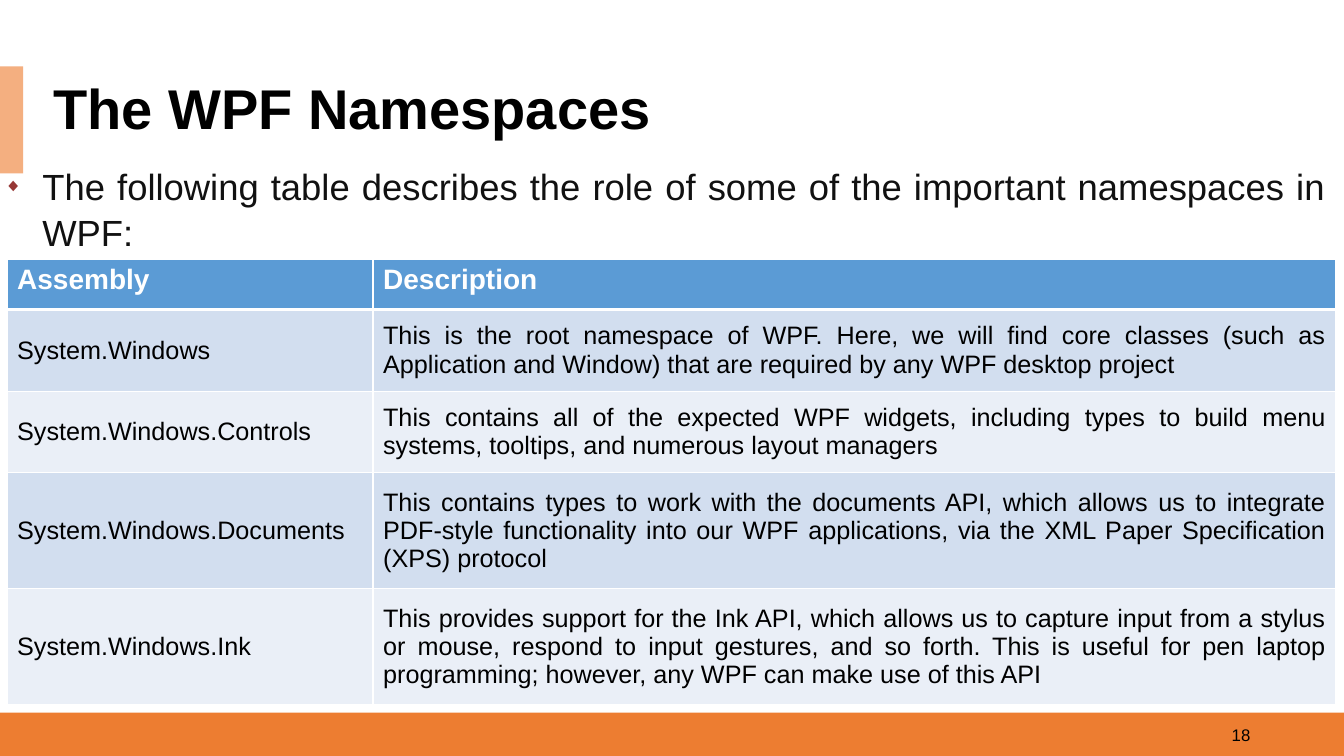
"""Build the slide on the WPF namespaces and their roles."""
from lxml import etree
from pptx import Presentation, util as u
from pptx.dml.color import RGBColor
from pptx.enum import shapes, text
from pptx.oxml import ns

WIDTH, HEIGHT = 13.33, 7.5
LEFT, RIGHT, JUSTIFY = text.PP_ALIGN.LEFT, text.PP_ALIGN.RIGHT, text.PP_ALIGN.JUSTIFY
TOP, MIDDLE = text.MSO_ANCHOR.TOP, text.MSO_ANCHOR.MIDDLE


def paint(target, color):
    target.solid()
    target.fore_color.rgb = RGBColor.from_string(color)


def write(frame, words, size=18, color="000000", bold=False, align=LEFT, anchor=MIDDLE):
    frame.word_wrap = True
    frame.vertical_anchor = anchor
    paragraph = frame.paragraphs[0]
    paragraph.alignment = align
    run = paragraph.add_run()
    run.text = words
    run.font.name, run.font.size, run.font.bold = "Arial", u.Pt(size), bold
    paint(run.font.fill, color)
    return paragraph


deck = Presentation()
deck.slide_width, deck.slide_height = u.Inches(WIDTH), u.Inches(HEIGHT)
slide = deck.slides.add_slide(deck.slide_layouts[1])
heading, intro = slide.placeholders

for left, top, width, height, color in [
    (0, 7.07, WIDTH, HEIGHT - 7.07, "ED7D31"),
    (0, 0.66, 0.23, 1.06, "F4AF80"),
]:
    band = slide.shapes.add_shape(
        shapes.MSO_SHAPE.RECTANGLE, *map(u.Inches, (left, top, width, height)))
    band.shadow.inherit = False
    paint(band.fill, color)
    band.line.fill.background()

page_number = slide.shapes.add_textbox(*map(u.Inches, (9.5, 7.09, 3, 0.4)))
write(page_number.text_frame, "18", size=12, align=RIGHT)

for holder, (left, top, width, height) in [
    (heading, (0.43, 0.79, 12.9, 0.63)),
    (intro, (-0.06, 1.56, 13.32, 0.98)),
]:
    holder.left, holder.top = u.Inches(left), u.Inches(top)
    holder.width, holder.height = u.Inches(width), u.Inches(height)
    holder.text_frame.auto_size = text.MSO_AUTO_SIZE.NONE

paint(heading.fill, "FFFFFF")
write(heading.text_frame, "The WPF Namespaces", size=40, bold=True).line_spacing = 0.9

sentence = write(
    intro.text_frame,
    "The following table describes the role of some of the important namespaces in WPF:",
    size=26, color="111111", align=JUSTIFY, anchor=TOP)
sentence.space_before = sentence.space_after = u.Pt(6)
sentence.line_spacing = 1.05
bullet = sentence._p.get_or_add_pPr()
bullet.set("marL", str(u.Inches(0.38)))
bullet.set("indent", str(-u.Inches(0.38)))
bullet_color = etree.SubElement(bullet, ns.qn("a:buClr"))
etree.SubElement(bullet_color, ns.qn("a:srgbClr"), val="973735")
etree.SubElement(bullet, ns.qn("a:buSzPct"), val="50000")
etree.SubElement(bullet, ns.qn("a:buFont"), typeface="Arial")
etree.SubElement(bullet, ns.qn("a:buChar"), char="◆")

namespaces = [
    ("Assembly", "Description"),
    ("System.Windows",
     "This is the root namespace of WPF. Here, we will find core classes (such as "
     "Application and Window) that are required by any WPF desktop project"),
    ("System.Windows.Controls",
     "This contains all of the expected WPF widgets, including types to build menu "
     "systems, tooltips, and numerous layout managers"),
    ("System.Windows.Documents",
     "This contains types to work with the documents API, which allows us to integrate "
     "PDF-style functionality into our WPF applications, via the XML Paper "
     "Specification (XPS) protocol"),
    ("System.Windows.Ink",
     "This provides support for the Ink API, which allows us to capture input from a "
     "stylus or mouse, respond to input gestures, and so forth. This is useful for "
     "pen laptop programming; however, any WPF can make use of this API"),
]
column_widths = [3.63, 9.55]
row_heights = [0.5, 0.81, 0.81, 1.15, 1.15]
table = slide.shapes.add_table(
    len(row_heights), len(column_widths), u.Inches(0.07), u.Inches(2.57),
    u.Inches(sum(column_widths)), u.Inches(sum(row_heights))).table
for column, width in zip(table.columns, column_widths):
    column.width = u.Inches(width)

for r, (entry, height) in enumerate(zip(namespaces, row_heights)):
    table.rows[r].height = u.Inches(height)
    for c, words in enumerate(entry):
        cell = table.cell(r, c)
        if r == 0:
            paint(cell.fill, "5B9BD5")
            write(cell.text_frame, words, size=20, color="FFFFFF", bold=True)
        else:
            paint(cell.fill, "D2DEEF" if r % 2 else "EAEFF7")
            write(cell.text_frame, words, align=JUSTIFY if c else LEFT)
        cell.vertical_anchor = MIDDLE if r else TOP
        for place, side in enumerate(["lnL", "lnR", "lnT", "lnB"]):
            thick = (r, side) in [(0, "lnB"), (1, "lnT")]
            border = etree.Element(ns.qn("a:" + side), w=str(u.Pt(3 if thick else 1)))
            border_fill = etree.SubElement(border, ns.qn("a:solidFill"))
            etree.SubElement(border_fill, ns.qn("a:srgbClr"), val="FFFFFF")
            cell._tc.get_or_add_tcPr().insert(place, border)

deck.save("out.pptx")
